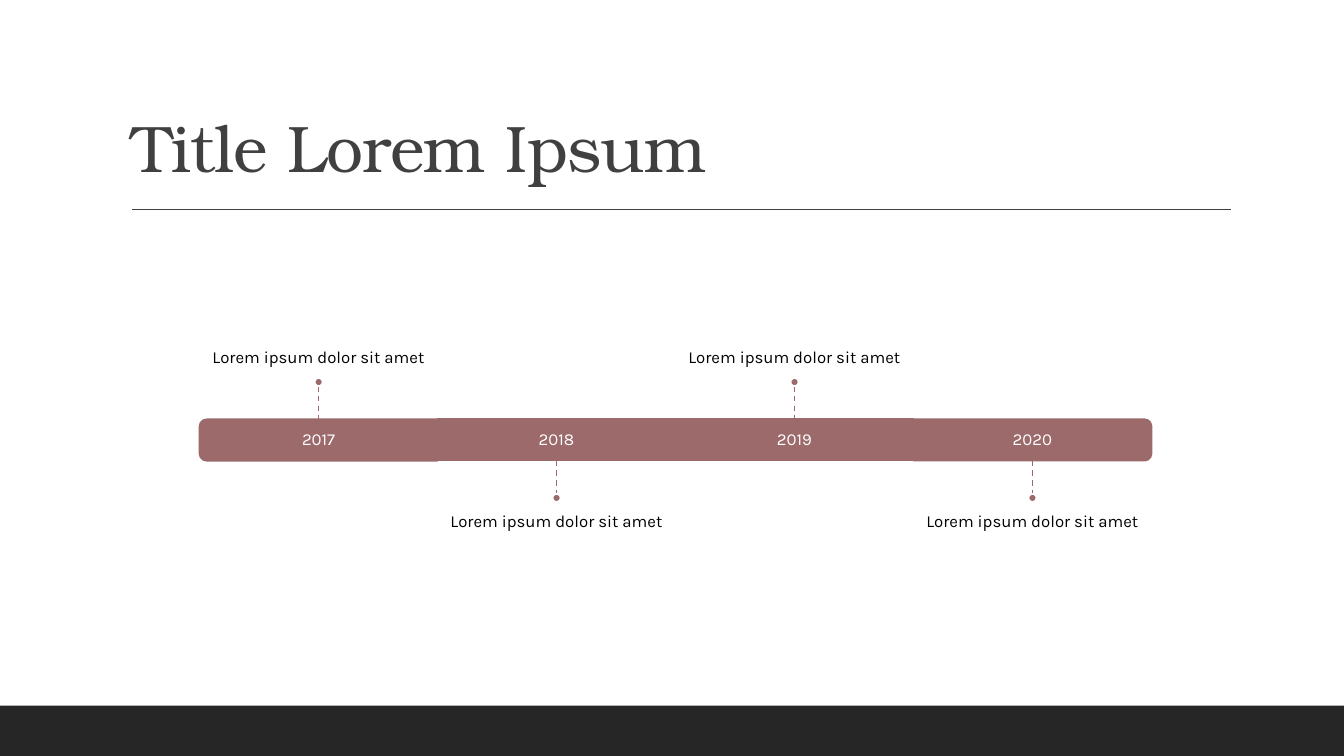
from lxml import etree
from pptx import Presentation
from pptx import util as u
from pptx.dml.color import RGBColor
from pptx.enum import dml, shapes, text
from pptx.oxml.ns import qn

ROSE, GRAY, DARK = "9C6A6A", "404040", "262626"
WHITE, BLACK = "FFFFFF", "000000"


def color(code):
    return RGBColor.from_string(code)


class Page:
    serif, sans = "TeX Gyre Bonum", "Karla"

    def __init__(self, deck):
        self.slide = deck.slides.add_slide(deck.slide_layouts[5])
        fill = self.slide.background.fill
        fill.solid()
        fill.fore_color.rgb = color(WHITE)

    def style(self, frame, words, font, size, tint, align, anchor):
        frame.text = words
        frame.word_wrap = True
        frame.auto_size = text.MSO_AUTO_SIZE.NONE
        frame.vertical_anchor = anchor
        para = frame.paragraphs[0]
        para.alignment = align
        para.line_spacing = 0.9
        run = para.runs[0]
        run.font.name = font
        run.font.size = u.Pt(size)
        run.font.color.rgb = color(tint)
        return run

    def title(self, words, x, y, w, h):
        box = self.slide.shapes.title
        box.left, box.top, box.width, box.height = map(u.Inches, (x, y, w, h))
        run = self.style(box.text_frame, words, self.serif, 47, GRAY,
                         text.PP_ALIGN.LEFT, text.MSO_ANCHOR.BOTTOM)
        run.font._element.set("spc", "-50")

    def label(self, words, x, y, w, h, tint, anchor, top=0, base=0):
        box = self.slide.shapes.add_textbox(*map(u.Inches, (x, y, w, h)))
        frame = box.text_frame
        frame.margin_left = frame.margin_right = 0
        frame.margin_top, frame.margin_bottom = u.Inches(top), u.Inches(base)
        self.style(frame, words, self.sans, 12, tint,
                   text.PP_ALIGN.CENTER, anchor)

    def shape(self, kind, x, y, w, h, fill, edge=None, turn=0):
        item = self.slide.shapes.add_shape(kind, *map(u.Inches, (x, y, w, h)))
        item.shadow.inherit = False
        item.rotation = turn
        item.fill.solid()
        item.fill.fore_color.rgb = color(fill)
        if edge:
            item.line.color.rgb = color(edge)
            item.line.width = u.Pt(1.25)
        else:
            item.line.fill.background()

    def line(self, x1, y1, x2, y2, tint, dash=None):
        item = self.slide.shapes.add_connector(
            shapes.MSO_CONNECTOR.STRAIGHT, *map(u.Inches, (x1, y1, x2, y2)))
        item.line.color.rgb = color(tint)
        item.line.width = u.Pt(1)
        if dash:
            item.line.dash_style = dash
        etree.SubElement(item._element.spPr, qn("a:effectLst"))


def main():
    deck = Presentation()
    deck.slide_width, deck.slide_height = u.Inches(13.33), u.Inches(7.5)
    page = Page(deck)
    kind, anchor = shapes.MSO_SHAPE, text.MSO_ANCHOR

    # Title, rule and footer band
    page.title("Title Lorem Ipsum", 1.2, 0.31, 11, 1.59)
    page.line(1.31, 2.08, 12.21, 2.08, GRAY)
    page.shape(kind.RECTANGLE, 0, 7, 13.33, 0.5, DARK)

    # Timeline: captions alternate above and below the bar
    first, step, thick, top = 3.16, 2.36, 0.41, 4.16
    wide, tall, stem, dot = 3.93, 1.45, 0.33, 0.08
    base, mid = top + thick, top + thick / 2
    turns = {0: 270, 3: 90}
    for i, year in enumerate(("2017", "2018", "2019", "2020")):
        x = first + i * step
        left = x - step / 2

        # Bar segment, with rounded outer ends
        if i in turns:
            page.shape(kind.ROUND_2_SAME_RECTANGLE, x - thick / 2,
                       mid - step / 2, thick, step, ROSE, ROSE, turns[i])
        else:
            page.shape(kind.RECTANGLE, left, top, step, thick, ROSE, ROSE)
        page.label(year, left, top, step, thick, WHITE, anchor.MIDDLE)

        # Caption, stem and dot
        above = i % 2 == 0
        edge, tip = (top, top - stem) if above else (base, base + stem)
        spot = tip - dot if above else tip
        if above:
            place = 2.29, anchor.BOTTOM, 0, 0.1
        else:
            place = 4.99, anchor.TOP, 0.1, 0
        y, hold, *pads = place
        page.label("Lorem ipsum dolor sit amet", x - wide / 2, y, wide, tall,
                   BLACK, hold, *pads)
        page.line(x, min(edge, tip), x, max(edge, tip), ROSE,
                  dml.MSO_LINE.DASH)
        page.shape(kind.OVAL, x - dot / 2, spot, dot, dot, ROSE, WHITE)

    deck.save("out.pptx")


if __name__ == "__main__":
    main()
